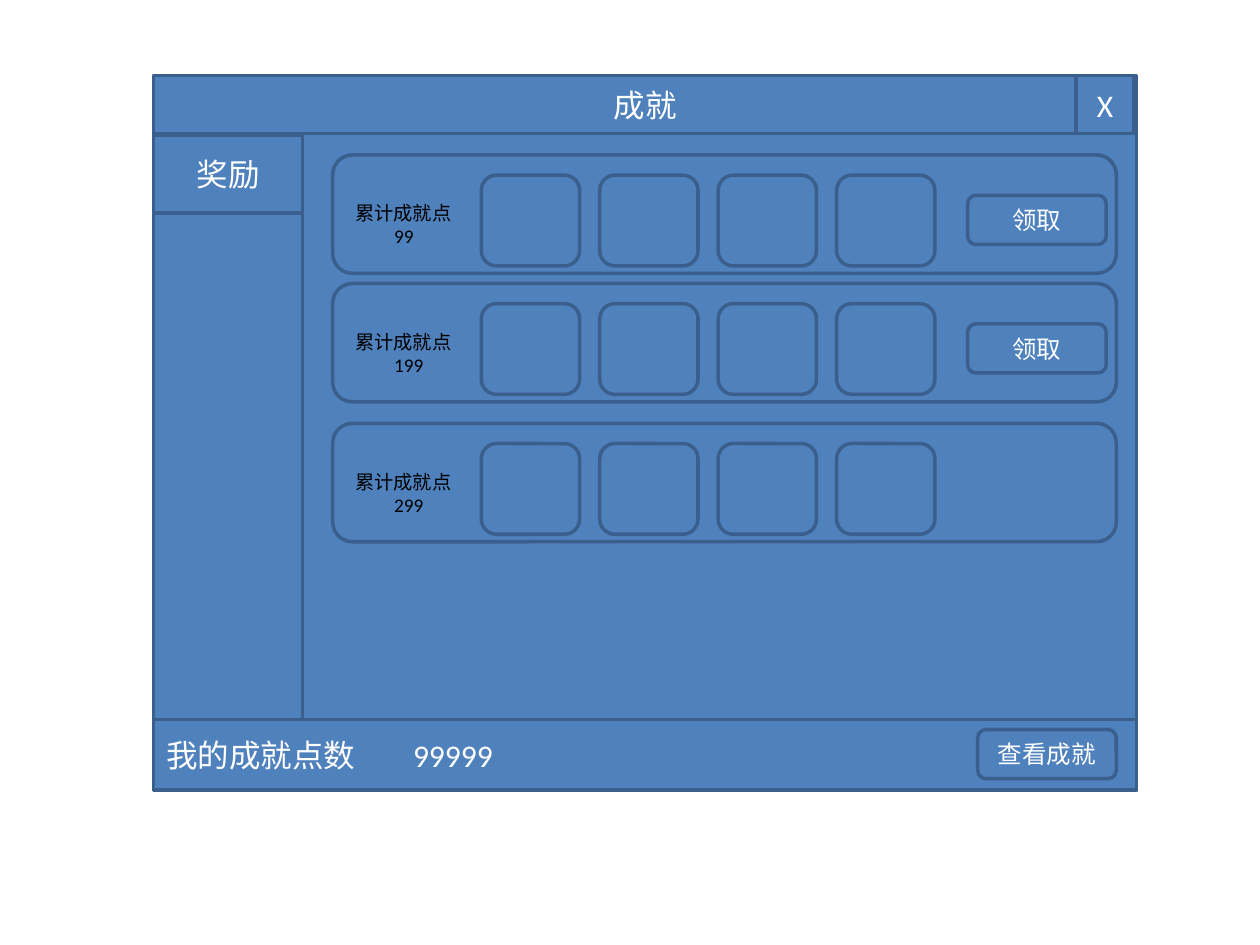
from pptx import Presentation
from pptx.dml.color import RGBColor
from pptx.enum.shapes import MSO_SHAPE
from pptx.enum.text import MSO_ANCHOR, MSO_AUTO_SIZE, PP_ALIGN
from pptx.oxml.ns import qn
from pptx.util import Inches, Pt
from lxml import etree

RECT, ROUND = MSO_SHAPE.RECTANGLE, MSO_SHAPE.ROUNDED_RECTANGLE
LEFT, CENTER = PP_ALIGN.LEFT, PP_ALIGN.CENTER
COLORS = {"panel": "4F81BD", "edge": "3A5F8C", "light": "FFFFFF", "dark": "000000"}
FONT = "Calibri"

# Window geometry in inches
WINDOW = (1.22, 0.6, 7.8, 5.67)
HEADER_H, SIDEBAR_W, FOOTER_H = 0.46, 1.18, 0.56
REWARDS = [(1.23, "99", True), (2.25, "199", True), (3.36, "299", False)]
SLOT_COUNT, SLOT_PITCH = 4, 0.94
BUTTON_W, BUTTON_H = 1.1, 0.39


def color(name):
    return RGBColor.from_string(COLORS[name])


def set_font(paragraph, size, name):
    for run in paragraph.runs:
        run.font.name = FONT
        run.font.size = Pt(size)
        run.font.color.rgb = color(name)


def style_panel(shape, text="", size=18, align=CENTER):
    shape.fill.solid()
    shape.fill.fore_color.rgb = color("panel")
    shape.line.color.rgb = color("edge")
    shape.line.width = Pt(2)
    frame = shape.text_frame
    frame.word_wrap = True
    frame.auto_size = MSO_AUTO_SIZE.NONE
    frame.vertical_anchor = MSO_ANCHOR.MIDDLE
    frame.text = text
    frame.paragraphs[0].alignment = align
    set_font(frame.paragraphs[0], size, "light")


def add_panel(slide, kind, x, y, w, h, text="", size=18, align=CENTER):
    shape = slide.shapes.add_shape(kind, Inches(x), Inches(y), Inches(w), Inches(h))
    shape.shadow.inherit = False
    style_panel(shape, text, size, align)
    return shape


def add_header(slide, x, y, w, h):
    title = slide.shapes.title
    title.left, title.top = Inches(x), Inches(y)
    title.width, title.height = Inches(w), Inches(h)
    style_panel(title, "成就")
    # Bring the title in front of the window background
    slide.shapes._spTree.append(title._element)
    add_panel(slide, RECT, x + w - h - 0.02, y, h, h, "X")


def add_sidebar(slide, x, y, w, h):
    add_panel(slide, RECT, x, y, w, h)
    add_panel(slide, RECT, x, y, w, 0.62, "奖励")


def add_footer(slide, x, y, w, h):
    bar = add_panel(slide, RECT, x, y, w, h, "我的成就点数\t99999", align=LEFT)
    properties = bar.text_frame.paragraphs[0]._p.get_or_add_pPr()
    tabs = etree.SubElement(properties, qn("a:tabLst"))
    etree.SubElement(tabs, qn("a:tab"), pos=str(Inches(1.96)), algn="l")
    add_panel(slide, ROUND, x + w - BUTTON_W - 0.16, y + 0.08,
              BUTTON_W, BUTTON_H, "查看成就", 14)


def add_threshold(slide, x, y, points):
    """Label naming the achievement points that a reward needs."""
    box = slide.shapes.add_textbox(Inches(x), Inches(y), Inches(1.02), Inches(0.47))
    frame = box.text_frame
    frame.word_wrap = True
    frame.text = f"累计成就点\n{points}"
    for paragraph in frame.paragraphs:
        set_font(paragraph, 11, "dark")
    frame.paragraphs[1]._p.get_or_add_pPr().set("marL", str(Inches(0.31)))


def add_reward_row(slide, x, y, w, h, points, claimable):
    add_panel(slide, ROUND, x, y, w, h)
    for slot in range(SLOT_COUNT):
        add_panel(slide, ROUND, x + 1.18 + slot * SLOT_PITCH, y + 0.16, 0.78, 0.72)
    if claimable:
        add_panel(slide, ROUND, x + w - BUTTON_W - 0.08, y + 0.32,
                  BUTTON_W, BUTTON_H, "领取", 14)
    add_threshold(slide, x + 0.08, y + 0.32, points)


def main():
    presentation = Presentation()
    presentation.slide_width, presentation.slide_height = Inches(10), Inches(7.5)
    slide = presentation.slides.add_slide(presentation.slide_layouts[5])

    x, y, w, h = WINDOW
    add_panel(slide, RECT, x, y, w, h)
    add_header(slide, x, y, w, HEADER_H)
    add_sidebar(slide, x, y + HEADER_H + 0.01, SIDEBAR_W, h - HEADER_H - 0.01)
    add_footer(slide, x, y + h - FOOTER_H, w, FOOTER_H)
    for top, points, claimable in REWARDS:
        add_reward_row(slide, 2.64, top, 6.22, 0.94, points, claimable)

    presentation.save("out.pptx")


if __name__ == "__main__":
    main()
